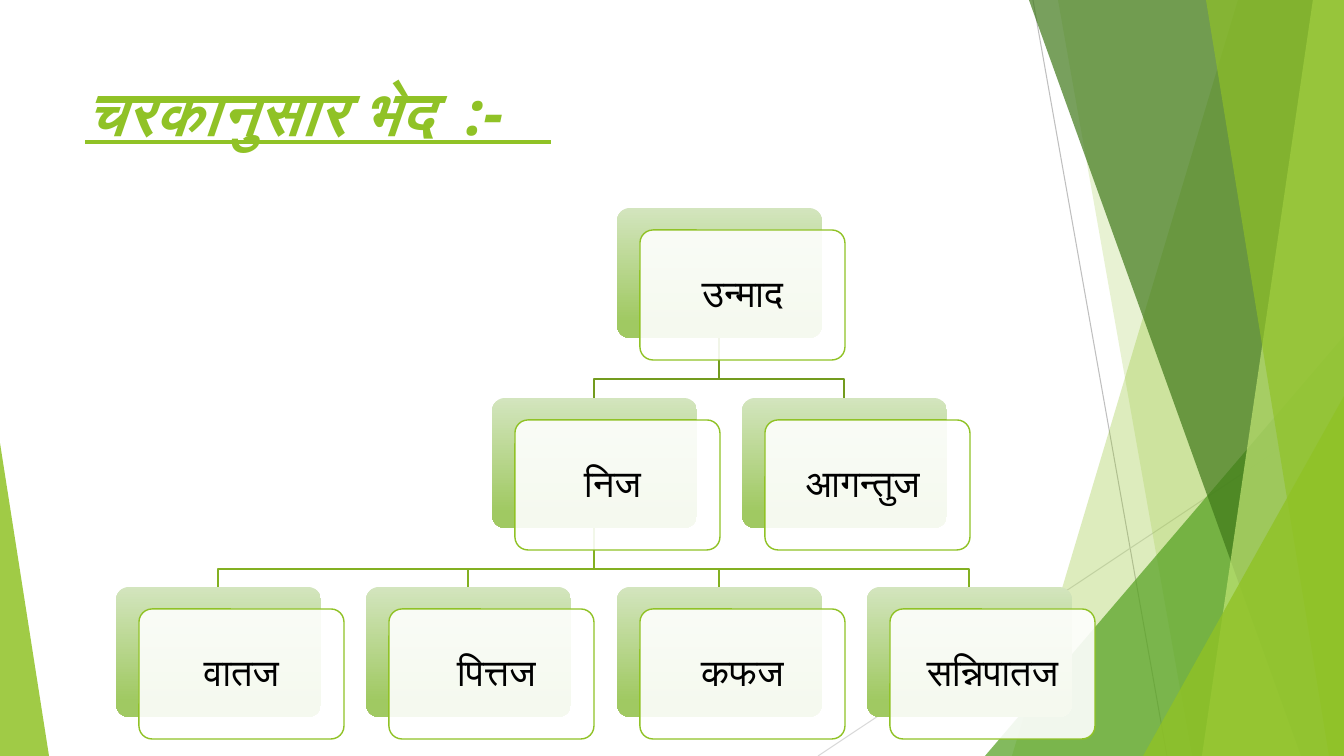
from dataclasses import dataclass

from lxml import etree
from pptx import Presentation
from pptx.dml.color import RGBColor
from pptx.enum.shapes import MSO_CONNECTOR, MSO_SHAPE
from pptx.enum.text import MSO_ANCHOR, PP_ALIGN
from pptx.oxml.ns import qn
from pptx.util import Pt

STRAIGHT = MSO_CONNECTOR.STRAIGHT
TRIANGLE, ROUNDED = MSO_SHAPE.ISOSCELES_TRIANGLE, MSO_SHAPE.ROUNDED_RECTANGLE
TOP, MIDDLE = MSO_ANCHOR.TOP, MSO_ANCHOR.MIDDLE
LEFT, CENTER = PP_ALIGN.LEFT, PP_ALIGN.CENTER
SCALE = 914400 / 100.8
WIDTH, HEIGHT = 1344, 756


@dataclass(frozen=True)
class Theme:
    """Colours, font and type sizes of the slide."""
    font: str = "Open Sans"
    title_size: int = 44
    card_size: int = 27
    green: str = "90C226"
    leaf: str = "54A021"
    forest: str = "3F7819"
    lime: str = "C0E474"
    white: str = "FFFFFF"
    black: str = "000000"
    card_top: str = "D3E5BE"
    card_bottom: str = "A0C962"
    upper_link: str = "739B1E"
    lower_link: str = "83B022"
    steep_line: str = "BFBFBF"
    flat_line: str = "D9D9D9"


THEME = Theme()

# Name: (text, column, row, parent); half columns centre a card between two others
CARDS = {
    "unmada": ("उन्माद", 2, 0, None),
    "nija": ("निज ", 1.5, 1, "unmada"),
    "vataja": ("वातज", 0, 2, "nija"),
    "pittaja": (" पित्तज", 1, 2, "nija"),
    "kaphaja": ("कफज", 2, 2, "nija"),
    "sannipataja": ("सन्निपातज", 3, 2, "nija"),
    "agantuja": ("आगन्तुज ", 2.5, 1, "unmada"),
}


def px(value):
    """Turn pixels into EMU."""
    return round(value * SCALE)


def rgb(colour):
    """Turn a hex string into a colour."""
    return RGBColor.from_string(colour)


def paint(sp, colour, opacity):
    """Give a shape a translucent solid fill, no outline and no shadow."""
    sp.shadow.inherit = False
    sp.fill.solid()
    sp.fill.fore_color.rgb = rgb(colour)
    clr = sp.fill._xPr.find(qn("a:solidFill"))[0]
    etree.SubElement(clr, qn("a:alpha"), val=str(opacity * 1000))
    sp.line.fill.background()


def outline(sp, colour, width):
    """Set the line of a shape or connector."""
    sp.line.color.rgb = rgb(colour)
    sp.line.width = Pt(width)


def style_text(tf, size, colour, align, anchor):
    """Format the single paragraph of a text frame and return its run."""
    tf.word_wrap = True
    tf.vertical_anchor = anchor
    p = tf.paragraphs[0]
    p.alignment = align
    r = p.runs[0]
    r.font.name, r.font.size = THEME.font, Pt(size)
    r.font.color.rgb = rgb(colour)
    etree.SubElement(r.font._element, qn("a:cs"), typeface=THEME.font)
    return r


def add_path(s, points, close):
    """Draw a freeform through pixel points."""
    builder = s.shapes.build_freeform(*points[0], scale=SCALE)
    builder.add_line_segments(points[1:], close=close)
    return builder.convert_to_shape()


def add_triangle(s, box, apex, colour, opacity):
    """Draw a right-angled triangle with its apex at 0 (left) or 1 (right)."""
    sp = s.shapes.add_shape(TRIANGLE, *map(px, box))
    sp.adjustments[0] = apex
    paint(sp, colour, opacity)


def add_facets(s, box):
    """Layer the thin lines, wedges and triangles of the right side."""
    x, y, w, h = box
    lines = [((215, 0), (349, h), THEME.steep_line),
             ((w, 406), (0, h), THEME.flat_line)]
    for (x1, y1), (x2, y2), colour in lines:
        line = s.shapes.add_connector(
            STRAIGHT, px(x + x1), px(y + y1), px(x + x2), px(y + y2))
        outline(line, colour, 0.75)
        etree.SubElement(line._element.spPr, qn("a:effectLst"))

    def wedge(top, bottom, colour, opacity):
        """Fill from a slanted edge to the right side of the box."""
        points = [(x + top, y), (x + w, y), (x + w, y + h), (x + bottom, y + h)]
        paint(add_path(s, points, True), colour, opacity)

    def corner(left, top, colour, opacity):
        """Fill the lower right corner of the box."""
        add_triangle(s, (x + left, y + top, w - left, h - top), 1, colour, opacity)

    for draw, *values in [
        (wedge, 420, 194, THEME.green, 30),
        (wedge, 240, 374, THEME.green, 20),
        (corner, 167, 336, THEME.leaf, 72),
        (wedge, 211, 483, THEME.forest, 70),
        (wedge, 495, 384, THEME.lime, 70),
        (wedge, 388, 511, THEME.green, 65),
        (corner, 325, 396, THEME.green, 80),
    ]:
        draw(*values)


def add_title(s, box, text):
    """Place and format the title placeholder."""
    sp = s.shapes.title
    sp.left, sp.top, sp.width, sp.height = map(px, box)
    sp.text_frame.text = text
    r = style_text(sp.text_frame, THEME.title_size, THEME.green, LEFT, TOP)
    r.font.bold = r.font.italic = r.font.underline = True


def add_card(s, box, text):
    """Draw a gradient card with a white labelled card shifted over it."""
    x, y, w, h = box
    back, front = [
        s.shapes.add_shape(ROUNDED, px(x + dx), px(y + dy), px(w), px(h))
        for dx, dy in ((0, 0), (23, 22))]
    for sp in (back, front):
        sp.adjustments[0] = 0.1
        paint(sp, THEME.white, 90)
    back.fill.gradient()
    back.fill.gradient_angle = 270
    stops = back.fill.gradient_stops
    for stop, position, colour in zip(
            stops, (0, 0.88), (THEME.card_top, THEME.card_bottom)):
        stop.position = position
        stop.color.rgb = rgb(colour)
    outline(front, THEME.green, 1)
    tf = front.text_frame
    tf.margin_left = tf.margin_right = tf.margin_top = tf.margin_bottom = px(15)
    tf.text = text
    style_text(tf, THEME.card_size, THEME.black, CENTER, MIDDLE)
    tf.paragraphs[0].line_spacing = 0.9


def add_tree(s, box):
    """Lay the cards on a grid and link each one to its parent."""
    x, y, w, h = box
    card_w, card_h = 205, 130
    col_step, row_step = (w - card_w - 23) / 3, (h - card_h - 22) / 2
    spots = {name: (round(x + col * col_step), round(y + row * row_step))
             for name, (_, col, row, _) in CARDS.items()}
    for name, (_, _, row, parent) in CARDS.items():
        if parent is None:
            continue
        (px1, py1), (px2, end) = spots[parent], spots[name]
        start, x1, x2 = py1 + card_h, px1 + card_w // 2, px2 + card_w // 2
        bend = start + 41
        link = add_path(s, [(x1, start), (x1, bend), (x2, bend), (x2, end)], False)
        link.shadow.inherit = False
        link.fill.background()
        outline(link, THEME.upper_link if row == 1 else THEME.lower_link, 1.5)
    for name, (text, *_) in CARDS.items():
        add_card(s, (*spots[name], card_w, card_h), text)


def main():
    """Build and save the slide."""
    prs = Presentation()
    prs.slide_width, prs.slide_height = px(WIDTH), px(HEIGHT)
    s = prs.slides.add_slide(prs.slide_layouts[5])
    add_facets(s, (818, 0, 526, HEIGHT))
    add_triangle(s, (0, 443, 49, 313), 0, THEME.green, 85)
    add_title(s, (75, 69, 948, 75), "चरकानुसार भेद  :-   ")
    add_tree(s, (116, 208, 979, 531))
    prs.save("out.pptx")


main()
